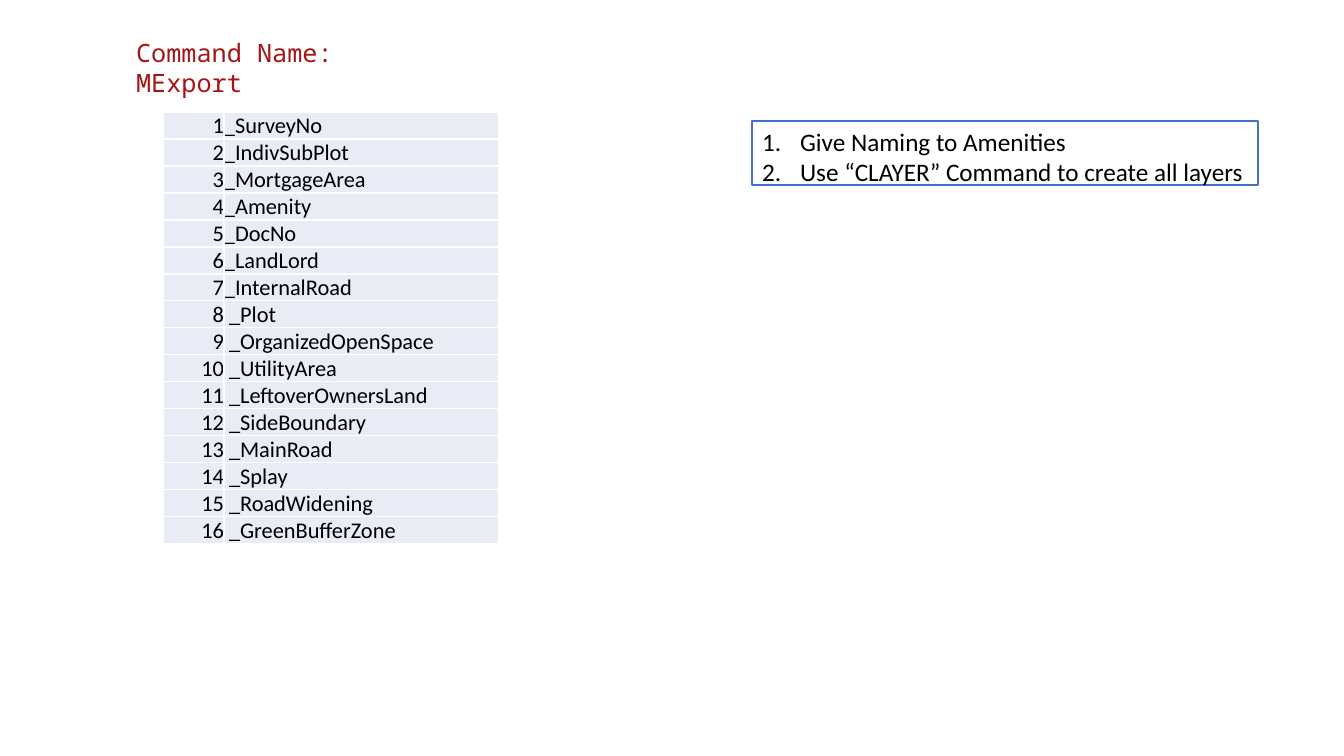
from lxml.etree import SubElement
from pptx import Presentation
from pptx.dml.color import RGBColor
from pptx.enum.text import MSO_ANCHOR, MSO_AUTO_SIZE, PP_ALIGN
from pptx.oxml.ns import qn
from pptx.util import Emu, Pt

HUES = {"title": "A31515", "text": "000000", "cell": "E9EBF5", "box": "FFFFFF", "edge": "4472C4"}
LAYERS = [
    "_SurveyNo", "_IndivSubPlot", "_MortgageArea", "_Amenity",
    "_DocNo", "_LandLord", "_InternalRoad", " _Plot",
    " _OrganizedOpenSpace", " _UtilityArea", " _LeftoverOwnersLand", " _SideBoundary",
    " _MainRoad", " _Splay", " _RoadWidening", " _GreenBufferZone",
]
STEPS = ["Give Naming to Amenities", "Use “CLAYER” Command to create all layers"]


def px(count):
    return Emu(round(count * 914400 / 100.8))


def style(para, face, size, hue):
    para.font.name = face
    para.font.size = Pt(size)
    para.font.color.rgb = RGBColor.from_string(HUES[hue])


deck = Presentation()
deck.slide_width, deck.slide_height = px(1344), px(756)
slide = deck.slides.add_slide(deck.slide_layouts[1])

title, notes = slide.placeholders
for holder, area in [(title, (126, 32, 328, 40)), (notes, (752, 121, 506, 71))]:
    holder.left, holder.top, holder.width, holder.height = map(px, area)
    holder.text_frame.vertical_anchor = MSO_ANCHOR.TOP
    holder.text_frame.auto_size = MSO_AUTO_SIZE.SHAPE_TO_FIT_TEXT

title.text_frame.text = "Command Name: MExport"
head = title.text_frame.paragraphs[0]
head.alignment = PP_ALIGN.LEFT
style(head, "Noto Sans Mono", 18, "title")

notes.fill.solid()
notes.fill.fore_color.rgb = RGBColor.from_string(HUES["box"])
notes.line.color.rgb = RGBColor.from_string(HUES["edge"])
notes.line.width = Pt(1)
notes.text_frame.word_wrap = False
notes.text_frame.text = "\n".join(STEPS)
for para in notes.text_frame.paragraphs:
    para.space_before = Pt(0)
    props = para._p.get_or_add_pPr()
    props.set("marL", str(px(38)))
    props.set("indent", str(-px(38)))
    SubElement(props, qn("a:buFont"), typeface="Calibri")
    SubElement(props, qn("a:buAutoNum"), type="arabicPeriod")
    style(para, "Calibri", 18, "text")

frame = slide.shapes.add_table(len(LAYERS), 2, px(163), px(112), px(336), px(27 * len(LAYERS)))
table = frame.table
table.first_row = table.horz_banding = False
table.columns[0].width, table.columns[1].width = px(61), px(275)
for row, layer in enumerate(LAYERS):
    table.rows[row].height = px(27)
    for col, words in enumerate([str(row + 1), layer]):
        cell = table.cell(row, col)
        cell.text = words
        cell.margin_left = cell.margin_right = cell.margin_top = cell.margin_bottom = 0
        cell.vertical_anchor = MSO_ANCHOR.BOTTOM
        cell.fill.solid()
        cell.fill.fore_color.rgb = RGBColor.from_string(HUES["cell"])
        para = cell.text_frame.paragraphs[0]
        para.alignment = PP_ALIGN.LEFT if col else PP_ALIGN.RIGHT
        style(para, "Calibri", 16, "text")

deck.save("out.pptx")
